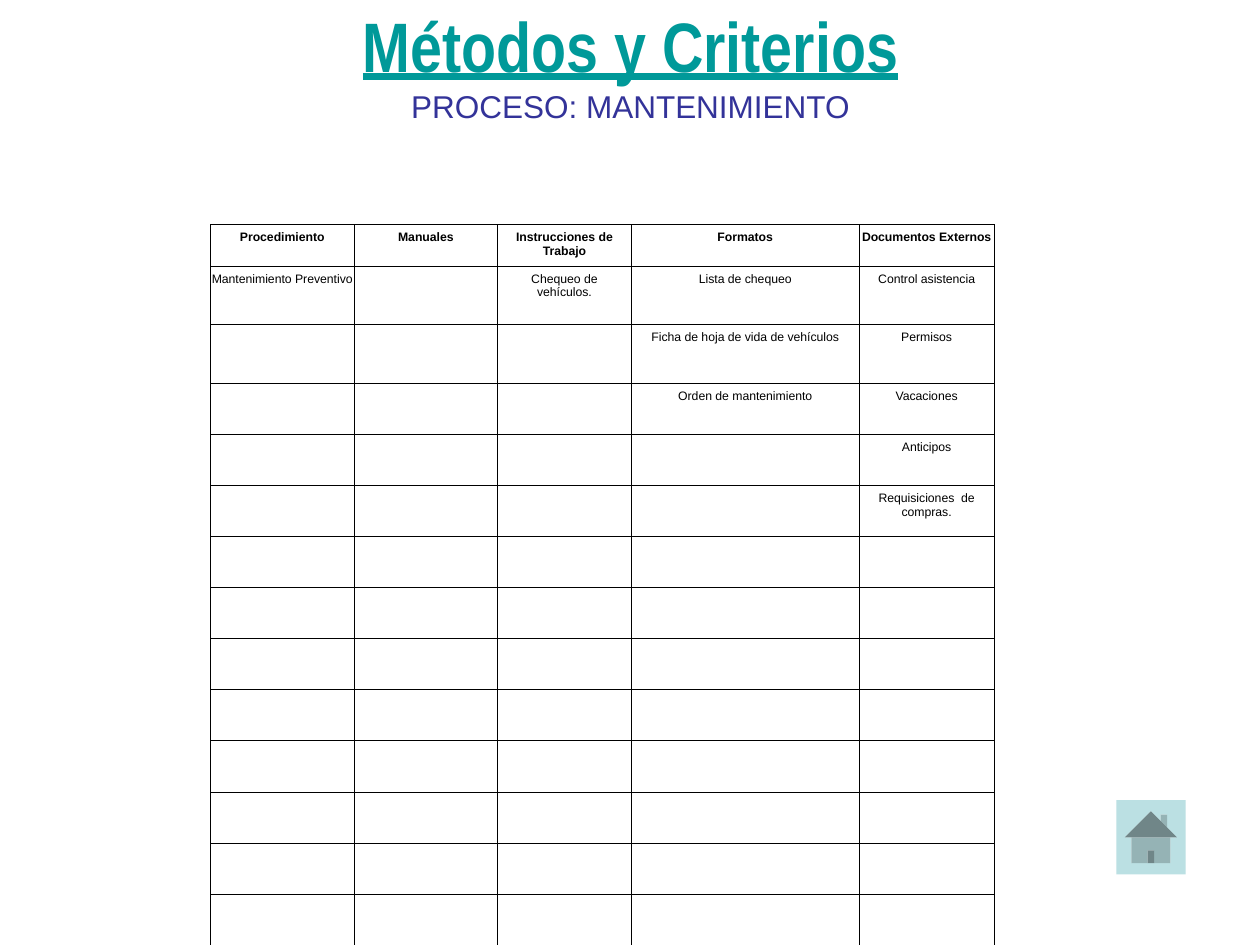
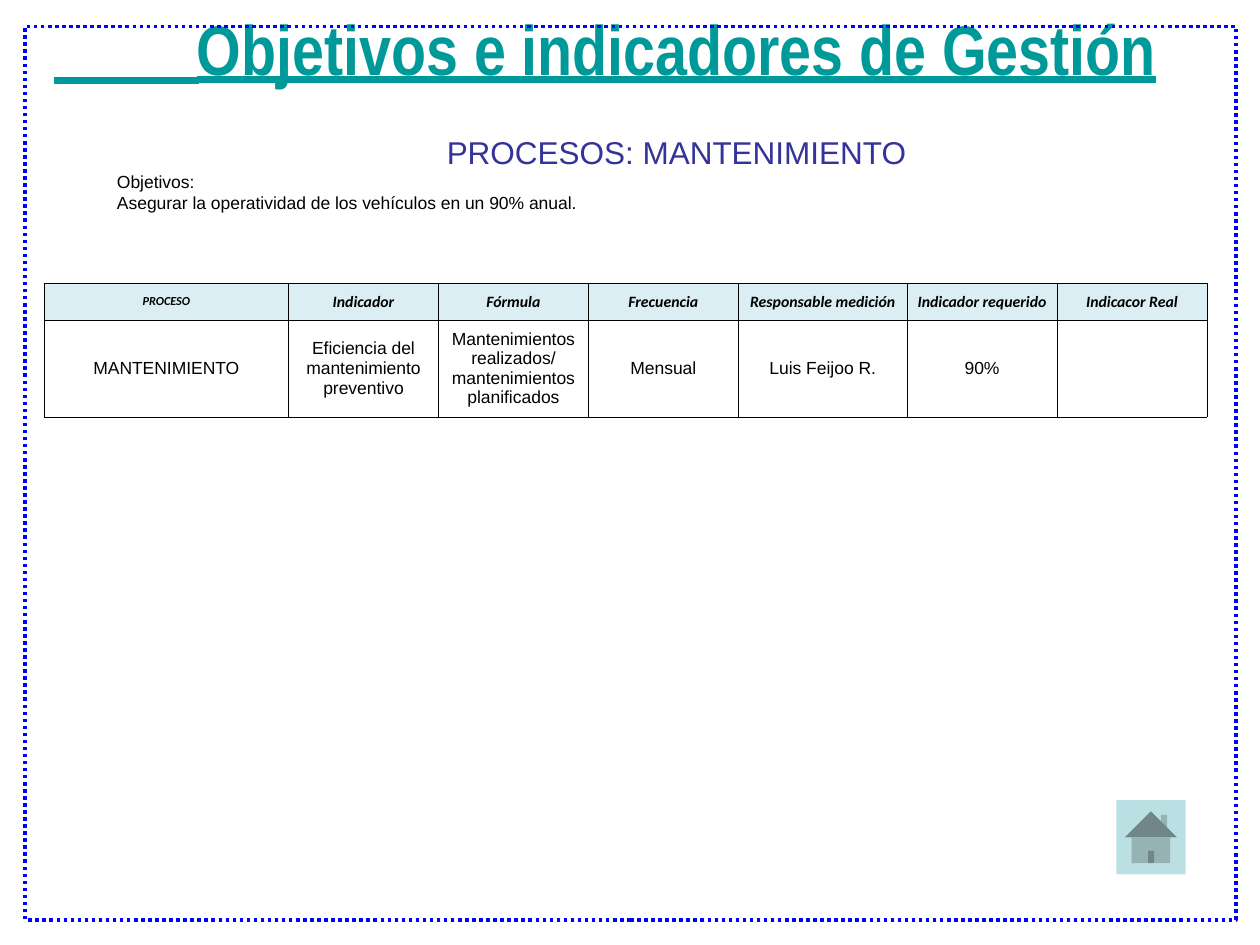
from lxml import etree
from pptx import Presentation
from pptx.dml.color import RGBColor
from pptx.enum.dml import MSO_LINE_DASH_STYLE as Dash
from pptx.enum.shapes import MSO_CONNECTOR, MSO_SHAPE
from pptx.enum.text import MSO_ANCHOR as Anchor, MSO_AUTO_SIZE as AutoSize, PP_ALIGN as Align
from pptx.oxml.ns import qn
from pptx.util import Inches, Pt

TEAL = RGBColor(0x00, 0x99, 0x99)
INDIGO = RGBColor(0x33, 0x33, 0x99)
BLUE = RGBColor(0x00, 0x00, 0xFF)
BLACK = RGBColor(0x00, 0x00, 0x00)
BUTTON_BLUE = RGBColor(0xBB, 0xE0, 0xE3)
HEADER_BLUE = RGBColor(0xDB, 0xEE, 0xF3)

METHOD_COLUMNS = [1.14, 1.14, 1.06, 1.81, 1.07]
METHOD_ROW_HEIGHTS = [0.33, 0.46, 0.47] + [0.4] * 11
METHODS = [
    ["Procedimiento", "Manuales", "Instrucciones de Trabajo", "Formatos", "Documentos Externos"],
    ["Mantenimiento Preventivo", "", "Chequeo de\nvehículos.", "Lista de chequeo", "Control asistencia"],
    ["", "", "", "Ficha de hoja de vida de vehículos", "Permisos"],
    ["", "", "", "Orden de mantenimiento", "Vacaciones"],
    ["", "", "", "", "Anticipos"],
    ["", "", "", "", "Requisiciones  de compras."],
]
INDICATOR_COLUMNS = [1.94, 1.19, 1.19, 1.19, 1.34, 1.19, 1.19]
INDICATOR_ROW_HEIGHTS = [0.29, 0.77]
INDICATORS = [
    ["PROCESO", "Indicador", "Fórmula", "Frecuencia", "Responsable medición",
     "Indicador requerido", "Indicacor Real"],
    ["MANTENIMIENTO", "Eficiencia del mantenimiento preventivo",
     "Mantenimientos realizados/ mantenimientos planificados", "Mensual", "Luis Feijoo R.", "90%"],
]


def write_text(paragraph, text, size=10, font="Arial", color=BLACK, bold=False,
               italic=False, underline=False, align=Align.LEFT):
    """Add one formatted run to a paragraph."""
    paragraph.alignment = align
    run = paragraph.add_run()
    run.text = text
    run.font.size = Pt(size)
    run.font.name = font
    run.font.color.rgb = color
    run.font.bold = bold
    run.font.italic = italic
    run.font.underline = underline


def write_lines(frame, text, **style):
    """Write each line of the text as its own paragraph."""
    for index, line in enumerate(text.split("\n")):
        paragraph = frame.add_paragraph() if index else frame.paragraphs[0]
        write_text(paragraph, line, **style)


def outline_cell(cell):
    """Draw thin black borders on all four sides of a cell."""
    properties = cell._tc.get_or_add_tcPr()
    for position, side in enumerate(("a:lnL", "a:lnR", "a:lnT", "a:lnB")):
        line = etree.Element(qn(side), w=str(Pt(0.25)))
        fill = etree.SubElement(line, qn("a:solidFill"))
        etree.SubElement(fill, qn("a:srgbClr"), val=str(BLACK))
        properties.insert(position, line)


class ProcessDeck:
    """Hold the shared style and the slide being built."""

    def __init__(self):
        self.presentation = Presentation()
        self.presentation.slide_width = Inches(10)
        self.presentation.slide_height = Inches(7.5)
        self.slide = None

    def start_slide(self):
        """Begin a title-only slide with its home button."""
        self.slide = self.presentation.slides.add_slide(self.presentation.slide_layouts[5])
        button = self.slide.shapes.add_shape(
            MSO_SHAPE.ACTION_BUTTON_HOME, Inches(8.86), Inches(6.35), Inches(0.55), Inches(0.59))
        button.shadow.inherit = False
        button.fill.solid()
        button.fill.fore_color.rgb = BUTTON_BLUE
        button.line.fill.background()

    def title(self, heading, process, left, top, indent=0, gap=0):
        """Place the underlined heading and the process name below it."""
        title = self.slide.shapes.title
        title.left, title.top = Inches(left), Inches(top)
        title.width, title.height = Inches(9.61), Inches(0.65)
        frame = title.text_frame
        frame.auto_size = AutoSize.NONE
        frame.word_wrap = True
        frame.vertical_anchor = Anchor.BOTTOM
        first = frame.paragraphs[0]
        first._p.get_or_add_pPr().set("marL", str(Inches(indent)))
        write_text(first, heading, size=40, font="Arial Narrow", color=TEAL,
                   bold=True, underline=True, align=Align.CENTER)
        second = frame.add_paragraph()
        second.space_before = Pt(gap)
        write_text(second, process, size=18, color=INDIGO, align=Align.CENTER)

    def rule(self, start, end, top):
        """Draw a thick horizontal teal line."""
        line = self.slide.shapes.add_connector(
            MSO_CONNECTOR.STRAIGHT, Inches(start), Inches(top), Inches(end), Inches(top))
        line.line.color.rgb = TEAL
        line.line.width = Pt(4)
        etree.SubElement(line._element.spPr, qn("a:effectLst"))

    def frame(self):
        """Draw the dotted border round the slide."""
        border = self.slide.shapes.add_shape(
            MSO_SHAPE.RECTANGLE, Inches(0.2), Inches(0.21), Inches(9.61), Inches(7.09))
        border.shadow.inherit = False
        border.fill.background()
        border.line.color.rgb = BLUE
        border.line.width = Pt(2)
        border.line.dash_style = Dash.ROUND_DOT

    def text(self, text, left, top, width, height, **style):
        """Add a wrapping text box."""
        box = self.slide.shapes.add_textbox(Inches(left), Inches(top), Inches(width), Inches(height))
        box.text_frame.word_wrap = True
        write_lines(box.text_frame, text, **style)

    def table(self, rows, left, top, widths, heights, cell_style, anchor=Anchor.TOP, header_fill=None):
        """Add a bordered table whose text format comes from cell_style(row, column)."""
        table = self.slide.shapes.add_table(
            len(heights), len(widths), Inches(left), Inches(top),
            Inches(sum(widths)), Inches(sum(heights))).table
        table.first_row = table.horz_banding = False
        for column, width in zip(table.columns, widths):
            column.width = Inches(width)
        for row, height in zip(table.rows, heights):
            row.height = Inches(height)
        for row_index, row in enumerate(table.rows):
            texts = rows[row_index] if row_index < len(rows) else []
            for column_index, cell in enumerate(row.cells):
                cell.margin_left = cell.margin_right = Inches(0.01)
                cell.vertical_anchor = anchor
                if header_fill and row_index == 0:
                    cell.fill.solid()
                    cell.fill.fore_color.rgb = header_fill
                else:
                    cell.fill.background()
                outline_cell(cell)
                if column_index < len(texts) and texts[column_index]:
                    write_lines(cell.text_frame, texts[column_index], align=Align.CENTER,
                                **cell_style(row_index, column_index))


def method_style(row, column):
    """Give the text format of a cell in the methods table."""
    return {"size": 7, "bold": row == 0}


def indicator_style(row, column):
    """Give the text format of a cell in the indicators table."""
    if row:
        return {"size": 10}
    return {"size": 9 if column else 7, "font": "Calibri", "bold": True, "italic": True}


def build_methods(deck):
    """Build the slide of methods and criteria."""
    deck.start_slide()
    deck.title("Métodos y Criterios", "PROCESO: MANTENIMIENTO", 0.2, 0.39)
    deck.table(METHODS, 1.67, 1.78, METHOD_COLUMNS, METHOD_ROW_HEIGHTS, method_style)


def build_indicators(deck):
    """Build the slide of objectives and indicators."""
    deck.start_slide()
    deck.frame()
    deck.title("Objetivos e indicadores de Gestión", "PROCESOS: MANTENIMIENTO",
               0, 0.76, indent=1.13, gap=25)
    deck.rule(0.43, 1.58, 0.64)
    deck.text("Objetivos:\nAsegurar la operatividad de los vehículos en un 90% anual.",
              0.83, 1.31, 7.95, 0.6)
    deck.table(INDICATORS, 0.35, 2.25, INDICATOR_COLUMNS, INDICATOR_ROW_HEIGHTS, indicator_style,
               anchor=Anchor.MIDDLE, header_fill=HEADER_BLUE)


def main():
    """Build and save the presentation."""
    deck = ProcessDeck()
    build_methods(deck)
    build_indicators(deck)
    deck.presentation.save("out.pptx")


if __name__ == "__main__":
    main()
